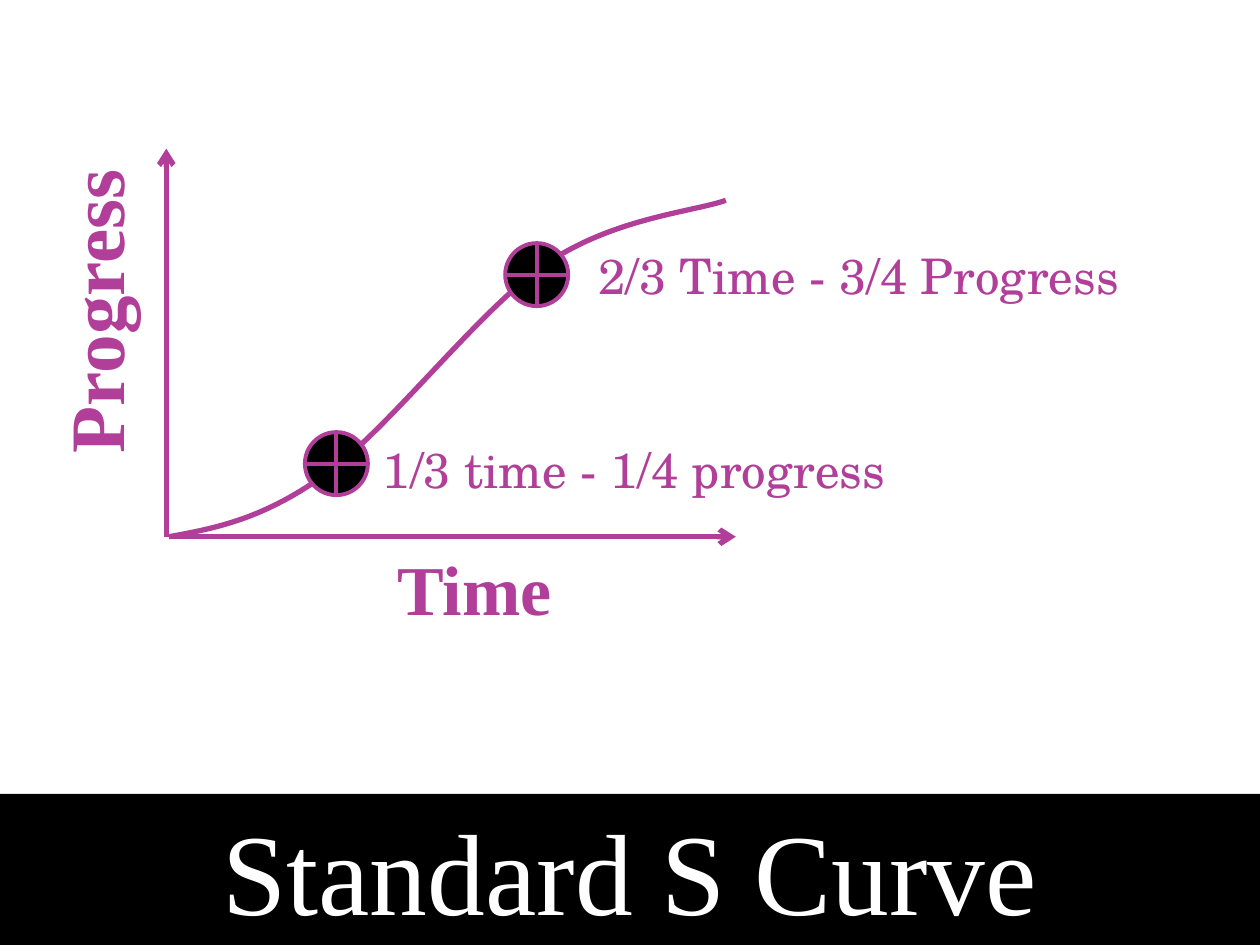
"""Build the Standard S Curve slide: progress against time."""
import pptx
import pptx.dml.color
import pptx.enum.dml
import pptx.enum.shapes
import pptx.enum.text
import pptx.oxml
import pptx.oxml.ns
import pptx.util
from pptx.util import Inches

PURPLE = pptx.dml.color.RGBColor(0xB1, 0x3F, 0x9A)
BLACK = pptx.dml.color.RGBColor(0x00, 0x00, 0x00)
WHITE = pptx.dml.color.RGBColor(0xFF, 0xFF, 0xFF)
SERIF = "Times New Roman"
SCHOLA = "TeX Gyre Schola"
CENTER = pptx.enum.text.PP_ALIGN.CENTER
LEFT = pptx.enum.text.PP_ALIGN.LEFT
CURVE_START = (1.34, 4.26)
CURVE_CONTROLS = [
    (1.72, 4.19), (2.09, 4.12), (2.59, 3.76),
    (3.09, 3.4), (3.81, 2.45), (4.34, 2.09),
    (4.87, 1.73), (5.51, 1.68), (5.76, 1.59),
]
MILESTONE_SIZE = 0.5


def set_line(line, width):
    """Give a line the diagram colour and a width in points."""
    line.color.rgb = PURPLE
    line.width = pptx.util.Pt(width)


def place(shape, left, top, width, height):
    """Move and size a shape, in inches."""
    shape.left, shape.top = Inches(left), Inches(top)
    shape.width, shape.height = Inches(width), Inches(height)


def write_text(frame, text, font_name, size, color, bold=False, align=LEFT):
    """Write one formatted paragraph."""
    frame.text = text
    paragraph = frame.paragraphs[0]
    paragraph.alignment = align
    font = paragraph.runs[0].font
    font.name, font.size, font.bold = font_name, pptx.util.Pt(size), bold
    font.color.rgb = color


def add_axis(slide, start, end):
    """Draw an axis with an arrowhead at its end."""
    axis = slide.shapes.add_connector(
        pptx.enum.shapes.MSO_CONNECTOR.STRAIGHT,
        *(Inches(value) for value in (*start, *end)))
    set_line(axis.line, 3)
    properties = axis._element.spPr
    outline = properties.find(pptx.oxml.ns.qn("a:ln"))
    namespace = pptx.oxml.ns.nsdecls("a")
    outline.append(pptx.oxml.parse_xml(f'<a:tailEnd {namespace} type="arrow"/>'))
    properties.append(pptx.oxml.parse_xml(f"<a:effectLst {namespace}/>"))


def add_curve(slide, start, controls):
    """Draw a smooth curve from a start point and triples of Bezier points."""
    builder = slide.shapes.build_freeform(*(Inches(value) for value in start))
    builder.add_line_segments(
        [(Inches(x), Inches(y)) for x, y in controls], close=False)
    curve = builder.convert_to_shape()
    curve.shadow.inherit = False
    curve.fill.background()
    set_line(curve.line, 3)
    segments = list(curve._element.iter(pptx.oxml.ns.qn("a:lnTo")))
    for index in range(0, len(segments), 3):
        first, *others = segments[index:index + 3]
        first.tag = pptx.oxml.ns.qn("a:cubicBezTo")
        for other in others:
            first.append(other[0])
            other.getparent().remove(other)


def add_milestone(slide, left, top):
    """Draw a crossed circle on the curve."""
    milestone = slide.shapes.add_shape(
        pptx.enum.shapes.MSO_SHAPE.FLOWCHART_OR, Inches(left), Inches(top),
        Inches(MILESTONE_SIZE), Inches(MILESTONE_SIZE))
    milestone.shadow.inherit = False
    milestone.fill.solid()
    milestone.fill.fore_color.rgb = BLACK
    set_line(milestone.line, 2.25)


def add_label(slide, box, text, font_name, size, bold=False, align=LEFT,
              rotation=0, wrap=False):
    """Add a text label in the diagram colour."""
    label = slide.shapes.add_textbox(*(Inches(value) for value in box))
    label.rotation = rotation
    write_text(label.text_frame, text, font_name, size, PURPLE, bold, align)
    label.text_frame.word_wrap = wrap
    label.text_frame.auto_size = pptx.enum.text.MSO_AUTO_SIZE.SHAPE_TO_FIT_TEXT


def set_title(slide, text):
    """Turn the title placeholder into a black band at the bottom."""
    title = slide.shapes.title
    place(title, 0, 6.3, 10, 1.2)
    title.fill.solid()
    title.fill.fore_color.rgb = BLACK
    write_text(title.text_frame, text, SERIF, 66, WHITE, align=CENTER)
    title.text_frame.vertical_anchor = pptx.enum.text.MSO_ANCHOR.TOP
    title.text_frame.auto_size = pptx.enum.text.MSO_AUTO_SIZE.NONE


def main():
    """Build and save the slide."""
    presentation = pptx.Presentation()
    presentation.slide_width = Inches(10)
    presentation.slide_height = Inches(7.5)
    slide = presentation.slides.add_slide(presentation.slide_layouts[5])
    set_title(slide, "Standard S Curve")
    add_axis(slide, (1.32, 4.26), (1.32, 1.18))
    add_axis(slide, (1.34, 4.26), (5.84, 4.26))
    add_curve(slide, CURVE_START, CURVE_CONTROLS)
    add_label(slide, (3.05, 4.28, 1.43, 0.77), "Time", SERIF, 40,
              bold=True, align=CENTER)
    add_label(slide, (-0.49, 2.04, 2.47, 0.84), "Progress", SERIF, 44,
              bold=True, rotation=270)
    add_milestone(slide, 2.42, 3.43)
    add_milestone(slide, 4.01, 1.93)
    add_label(slide, (2.94, 3.44, 5.25, 0.57), "1/3 time - 1/4 progress",
              SCHOLA, 28, wrap=True)
    add_label(slide, (4.65, 1.9, 4.34, 0.57), "2/3 Time - 3/4 Progress",
              SCHOLA, 28)
    presentation.save("out.pptx")


if __name__ == "__main__":
    main()
